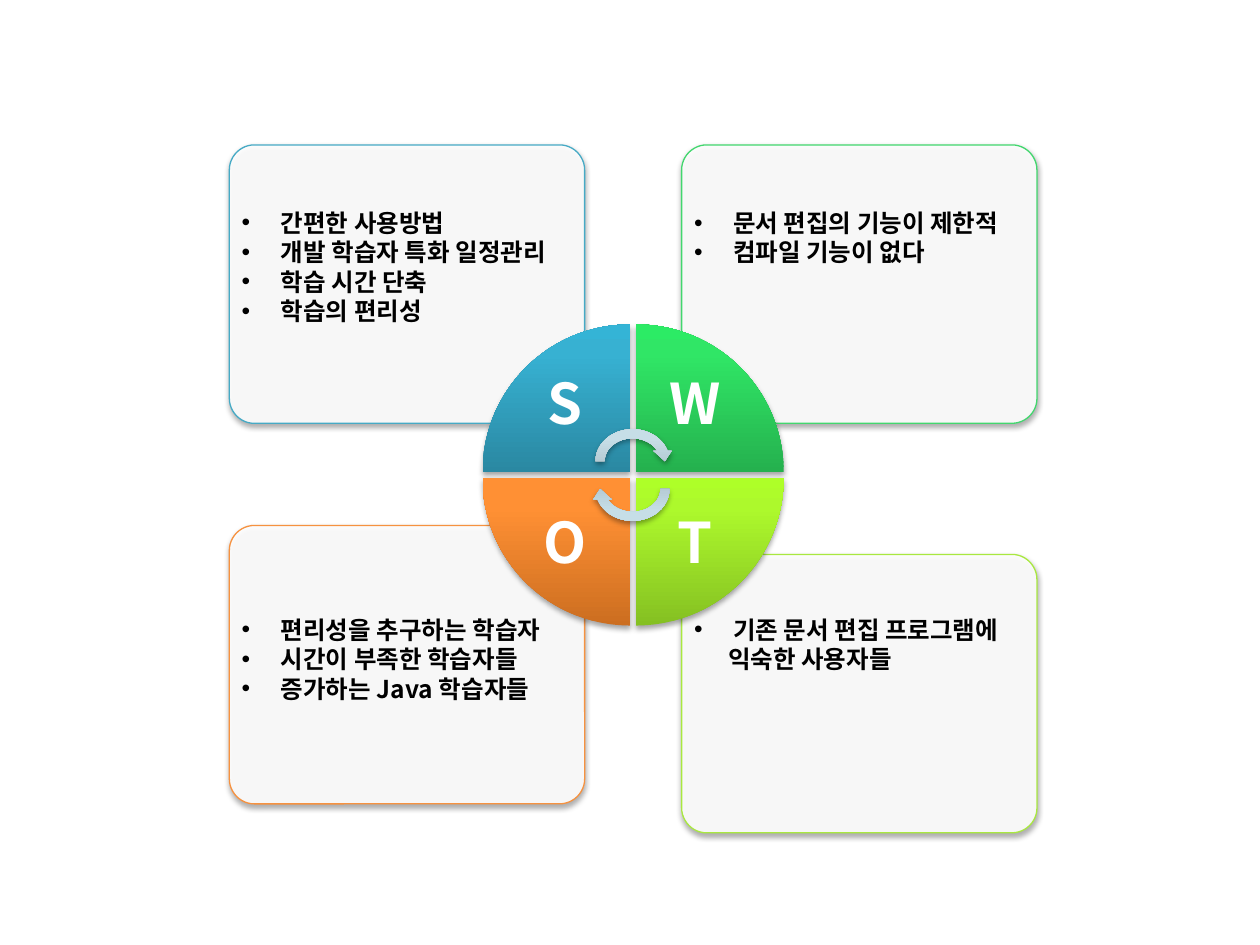
import copy
import math

import pptx
import pptx.dml.color
import pptx.enum.shapes
import pptx.enum.text
import pptx.oxml
import pptx.oxml.ns
import pptx.util

Inches, Pt = pptx.util.Inches, pptx.util.Pt
RGBColor = pptx.dml.color.RGBColor
SHAPES = pptx.enum.shapes.MSO_SHAPE
ALIGN = pptx.enum.text.PP_ALIGN
ANCHOR = pptx.enum.text.MSO_ANCHOR
qn = pptx.oxml.ns.qn

FONT = "Noto Sans CJK KR"
WHITE = RGBColor(0xFF, 0xFF, 0xFF)
BLACK = RGBColor(0, 0, 0)
ARROW_TONES = [RGBColor.from_string(c) for c in ("98ABB2", "C6DEE7", "C6DFE8")]
STOPS = (0, 0.8, 1)

# col and row place the quadrant; items are (text, bulleted)
QUADRANTS = [
    dict(letter="S", col=0, row=0, card_top=1.15, notes_size=(2.87, 1.04), border="46AAC5",
         tones=("2A88A2", "37B1D2", "34B4D6"),
         items=[("간편한 사용방법", True), ("개발 학습자 특화 일정관리", True),
                ("학습 시간 단축", True), ("학습의 편리성", True)]),
    dict(letter="W", col=1, row=0, card_top=1.15, notes_size=(3.02, 1.28), border="42D76E",
         tones=("25B14E", "30E666", "2CEB65"),
         items=[("문서 편집의 기능이 제한적", True), ("컴파일 기능이 없다", True)]),
    dict(letter="O", col=0, row=1, card_top=4.17, notes_size=(2.82, 1.51), border="F69240",
         tones=("CC6E20", "FF9034", "FF9136"),
         items=[("편리성을 추구하는 학습자", True), ("시간이 부족한 학습자들", True),
                ("증가하는 Java 학습자들", True)]),
    dict(letter="T", col=1, row=1, card_top=4.40, notes_size=(3.02, 1.51), border="A9E840",
         tones=("85C022", "ADF92C", "AEFF28"),
         items=[("기존 문서 편집 프로그램에", True), ("익숙한 사용자들", False)]),
]
CARD_LEFTS = (1.82, 5.41)
CARD_SIZE = (2.82, 2.21)
NOTES_TOPS = (1.60, 4.83)
LETTER_LEFTS, LETTER_TOPS = (4.13, 5.16), (2.96, 4.06)
CENTER_X, CENTER_Y, RADIUS, HALF_GAP = 5.025, 3.77, 1.17, 0.025
ARROWS = [(3.37, 0), (3.59, 180)]
INDENT, PLAIN_INDENT = 0.31, 0.27


def add_shadow(shape):
    """Give the shape a soft shadow just below it."""
    shape.shadow.inherit = False
    effects = shape._element.spPr.find(qn("a:effectLst"))
    effects.append(pptx.oxml.parse_xml(
        f'<a:outerShdw {pptx.oxml.ns.nsdecls("a")} blurRad="{Pt(3.1)}" dist="{Pt(1.8)}" '
        'dir="5400000" rotWithShape="0"><a:srgbClr val="000000">'
        '<a:alpha val="35000"/></a:srgbClr></a:outerShdw>'))


def fill_gradient(shape, tones):
    """Fill from the first tone at the bottom to the last at the top."""
    shape.fill.gradient()
    shape.fill.gradient_angle = 90
    stop_list = shape._element.spPr.find(".//" + qn("a:gsLst"))
    stop_list.append(copy.deepcopy(stop_list[-1]))
    for stop, position, tone in zip(shape.fill.gradient_stops, STOPS, tones):
        stop.position = position
        stop.color.rgb = tone
    shape.line.fill.background()
    add_shadow(shape)


def add_run(paragraph, text, size, color):
    """Add one bold run."""
    run = paragraph.add_run()
    run.text = text
    run.font.name, run.font.size, run.font.bold = FONT, Pt(size), True
    run.font.color.rgb = color
    east_asian = pptx.oxml.parse_xml(
        f'<a:ea {pptx.oxml.ns.nsdecls("a")} typeface="{FONT}"/>')
    run.font._element.append(east_asian)


def add_card(shapes, quadrant):
    """Draw the rounded card behind a quadrant."""
    card = shapes.add_shape(
        SHAPES.ROUNDED_RECTANGLE, Inches(CARD_LEFTS[quadrant["col"]]),
        Inches(quadrant["card_top"]), *map(Inches, CARD_SIZE))
    card.adjustments[0] = 0.09
    card.fill.solid()
    card.fill.fore_color.rgb = WHITE
    card._element.spPr.find(".//" + qn("a:srgbClr")).append(
        pptx.oxml.parse_xml(f'<a:alpha {pptx.oxml.ns.nsdecls("a")} val="90000"/>'))
    card.line.color.rgb = RGBColor.from_string(quadrant["border"])
    card.line.width = Pt(0.75)
    add_shadow(card)


def add_wedge(shapes, quadrant):
    """Draw a quarter of the central disc."""
    side_x, side_y = 2 * quadrant["col"] - 1, 2 * quadrant["row"] - 1
    corner_x = CENTER_X + side_x * HALF_GAP
    corner_y = CENTER_Y + side_y * HALF_GAP
    arc = [(Inches(corner_x + side_x * RADIUS * math.cos(math.radians(angle))),
            Inches(corner_y + side_y * RADIUS * math.sin(math.radians(angle))))
           for angle in range(0, 91, 2)]
    outline = shapes.build_freeform(Inches(corner_x), Inches(corner_y))
    outline.add_line_segments(arc, close=True)
    wedge = outline.convert_to_shape()
    fill_gradient(wedge, [RGBColor.from_string(tone) for tone in quadrant["tones"]])


def add_letter(shapes, quadrant):
    """Write the quadrant's initial."""
    letter = shapes.add_textbox(
        Inches(LETTER_LEFTS[quadrant["col"]]), Inches(LETTER_TOPS[quadrant["row"]]),
        Inches(0.71), Inches(0.47))
    frame = letter.text_frame
    frame.word_wrap = True
    frame.vertical_anchor = ANCHOR.MIDDLE
    frame.paragraphs[0].alignment = ALIGN.CENTER
    add_run(frame.paragraphs[0], quadrant["letter"], 32, WHITE)


def add_notes(shapes, quadrant):
    """Write the quadrant's list."""
    notes = shapes.add_textbox(
        Inches(CARD_LEFTS[quadrant["col"]]), Inches(NOTES_TOPS[quadrant["row"]]),
        *map(Inches, quadrant["notes_size"]))
    frame = notes.text_frame
    frame.word_wrap = True
    for index, (text, bulleted) in enumerate(quadrant["items"]):
        paragraph = frame.add_paragraph() if index else frame.paragraphs[0]
        properties = paragraph._p.get_or_add_pPr()
        properties.set("marL", str(Inches(INDENT if bulleted else PLAIN_INDENT)))
        properties.set("indent", str(Inches(-INDENT if bulleted else 0)))
        if bulleted:
            for bullet in ('<a:buFont {} typeface="Arial"/>', '<a:buChar {} char="•"/>'):
                properties.append(pptx.oxml.parse_xml(
                    bullet.format(pptx.oxml.ns.nsdecls("a"))))
        add_run(paragraph, text, 14, BLACK)


presentation = pptx.Presentation()
presentation.slide_width, presentation.slide_height = Inches(10), Inches(7.5)
slide = presentation.slides.add_slide(presentation.slide_layouts[6])

for quadrant in reversed(QUADRANTS):
    add_card(slide.shapes, quadrant)

disc = slide.shapes.add_group_shape()
for quadrant in QUADRANTS:
    add_wedge(disc.shapes, quadrant)

for top, rotation in ARROWS:
    arrow = slide.shapes.add_shape(
        SHAPES.CIRCULAR_ARROW, Inches(4.69), Inches(top), Inches(0.66), Inches(0.58))
    arrow.rotation = rotation
    fill_gradient(arrow, ARROW_TONES)

for add_text in (add_letter, add_notes):
    for quadrant in QUADRANTS:
        add_text(slide.shapes, quadrant)

presentation.save("out.pptx")
